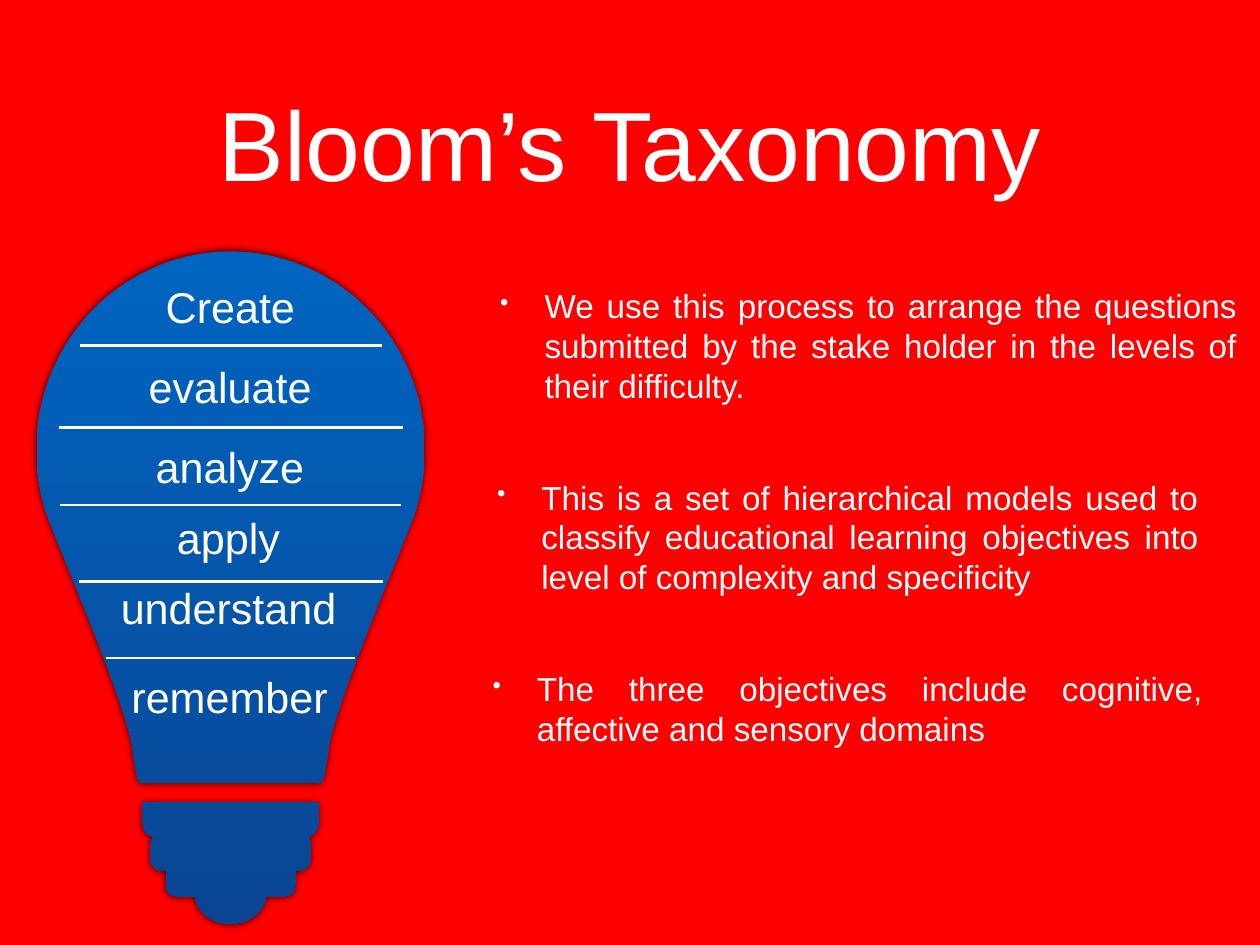
"""Build the Bloom's Taxonomy slide: a light bulb of six levels beside three notes."""
from dataclasses import dataclass

from lxml.etree import SubElement
from pptx import Presentation
from pptx.dml.color import RGBColor
from pptx.enum.shapes import MSO_CONNECTOR
from pptx.enum.text import MSO_ANCHOR, MSO_AUTO_SIZE, PP_ALIGN
from pptx.oxml.ns import qn
from pptx.util import Cm, Pt


@dataclass(frozen=True)
class Theme:
    background: RGBColor = RGBColor(0xFF, 0x00, 0x00)
    ink: RGBColor = RGBColor(0xFF, 0xFF, 0xFF)
    bulb_top: RGBColor = RGBColor(0x00, 0x65, 0xC1)
    bulb_bottom: RGBColor = RGBColor(0x09, 0x45, 0x93)
    font: str = "Arial"
    title_size: int = 80
    level_size: int = 35
    note_size: int = 27


THEME = Theme()
AXIS = 6.61
INSET = Cm(0.15)


def write(shape, text, size, alignment, **frame_format):
    """Put one formatted paragraph into a shape and return it."""
    frame = shape.text_frame
    margins = {f"margin_{side}": INSET for side in ("left", "top", "right", "bottom")}
    settings = {"vertical_anchor": MSO_ANCHOR.MIDDLE, **margins, **frame_format}
    for name, value in settings.items():
        setattr(frame, name, value)
    paragraph = frame.paragraphs[0]
    paragraph.alignment = alignment
    run = paragraph.add_run()
    run.text = text
    for name, value in {"name": THEME.font, "size": Pt(size)}.items():
        setattr(run.font, name, value)
    run.font.color.rgb = THEME.ink
    return paragraph


def outline(start, steps):
    """Return the nodes of a symmetric outline and the node count of each step."""
    half = [start] + [node for step in steps for node in step]
    counts = [len(step) for step in steps]
    ends_on_axis = half[-1][0] == 0
    bridge = [] if ends_on_axis else [1]
    mirrored = [(-x, y) for x, y in reversed(half[:-1] if ends_on_axis else half)]
    nodes = [(Cm(AXIS + x), Cm(y)) for x, y in half + mirrored]
    return nodes, counts + bridge + counts[::-1]


presentation = Presentation()
presentation.slide_width, presentation.slide_height = Cm(36.12), Cm(27.1)
slide = presentation.slides.add_slide(presentation.slide_layouts[5])
slide.background.fill.solid()
slide.background.fill.fore_color.rgb = THEME.background

title = slide.shapes.title
title.left, title.top, title.width, title.height = Cm(2.64), Cm(1.12), Cm(30.84), Cm(5.89)
write(title, "Bloom’s Taxonomy", THEME.title_size, PP_ALIGN.CENTER,
      word_wrap=True, auto_size=MSO_AUTO_SIZE.NONE)

glass, glass_counts = outline((0, 7.21), [
    ((3.07, 7.21), (5.56, 9.75), (5.56, 12.88)),
    ((5.56, 13.46), (5.49, 14), (5.33, 14.55)),
    ((5.23, 15.01), (2.79, 20.55), (2.79, 21.62)),
    ((2.67, 22.3),),
    ((2.64, 22.35), (2.62, 22.4), (2.59, 22.45)),
])
socket, socket_counts = outline((2.51, 23.01), [
    ((2.51, 23.65),),
    ((2.51, 23.83), (2.36, 23.98), (2.21, 24)),
    ((2.24, 24.05), (2.29, 24.1), (2.29, 24.18)),
    ((2.29, 24.66),),
    ((2.29, 24.84), (2.13, 24.97), (1.96, 24.97)),
    ((1.85, 24.97),),
    ((1.85, 25.4),),
    ((1.85, 25.58), (1.73, 25.7), (1.55, 25.7)),
    ((1.02, 25.7),),
    ((0.97, 26.16), (0.53, 26.49), (0, 26.49)),
])
builder = slide.shapes.build_freeform(*glass[0])
builder.add_line_segments(glass[1:], close=True)
builder.move_to(*socket[0])
builder.add_line_segments(socket[1:], close=True)
bulb = builder.convert_to_shape()

geometry = bulb.element.spPr.find(".//" + qn("a:path"))
segments = iter(geometry.findall(qn("a:lnTo")))
for count in glass_counts + socket_counts:
    group = [next(segments) for _ in range(count)]
    if count == 3:
        curve = SubElement(geometry, qn("a:cubicBezTo"))
        group[0].addprevious(curve)
        for segment in group:
            curve.append(segment[0])
            geometry.remove(segment)

bulb.line.fill.background()
bulb.fill.gradient()
bulb.fill.gradient_angle = 270
for stop, color in zip(bulb.fill.gradient_stops, (THEME.bulb_top, THEME.bulb_bottom)):
    stop.color.rgb = color
bulb.shadow.inherit = False
effects = bulb.element.spPr.find(qn("a:effectLst"))
shadow = SubElement(effects, qn("a:outerShdw"), blurRad=str(Pt(6)), dist="0", dir="18900000")
shadow_color = SubElement(shadow, qn("a:srgbClr"), val="000000")
SubElement(shadow_color, qn("a:alpha"), val="80000")

levels = [
    ("Create", 4.6, 7.92, 4.01),
    ("evaluate", 4.11, 10.21, 4.98),
    ("analyze", 4.31, 12.5, 4.57),
    ("apply", 4.85, 14.52, 3.4),
    ("understand", 3.24, 16.54, 6.63),
    ("remember", 3.59, 19.1, 5.99),
]
for name, left, top, width in levels:
    label = slide.shapes.add_textbox(Cm(left), Cm(top), Cm(width), Cm(1.75))
    write(label, name, THEME.level_size, PP_ALIGN.CENTER,
          word_wrap=False, auto_size=MSO_AUTO_SIZE.SHAPE_TO_FIT_TEXT)

dividers = [
    (2.29, 10.95, 9.91),
    (1.68, 11.54, 12.26),
    (1.73, 11.5, 14.48),
    (2.26, 10.97, 16.68),
    (3.03, 10.18, 18.87),
]
for left, right, y in dividers:
    divider = slide.shapes.add_connector(
        MSO_CONNECTOR.STRAIGHT, Cm(left), Cm(y), Cm(right), Cm(y))
    divider.line.width = Pt(2)
    divider.line.color.rgb = THEME.ink
    SubElement(divider.element.spPr, qn("a:effectLst"))

notes = [
    ("We use this process to arrange the questions submitted by the stake holder "
     "in the levels of their difficulty.", 14.19, 8.08, 21.41, 3.66),
    ("This is a set of hierarchical models used to classify educational learning "
     "objectives into level of complexity and specificity", 14.1, 13.56, 20.4, 3.66),
    ("The three objectives include cognitive, affective and sensory domains",
     13.97, 19.05, 20.65, 2.54),
]
for text, *box in notes:
    note = slide.shapes.add_textbox(*map(Cm, box))
    paragraph = write(note, text, THEME.note_size, PP_ALIGN.JUSTIFY,
                      word_wrap=True, auto_size=MSO_AUTO_SIZE.SHAPE_TO_FIT_TEXT)
    properties = paragraph._p.get_or_add_pPr()
    properties.set("marL", str(Cm(1.27)))
    properties.set("indent", str(-Cm(1.27)))
    SubElement(properties, qn("a:buSzPct"), val="75000")
    SubElement(properties, qn("a:buChar"), char="•")

presentation.save("out.pptx")
